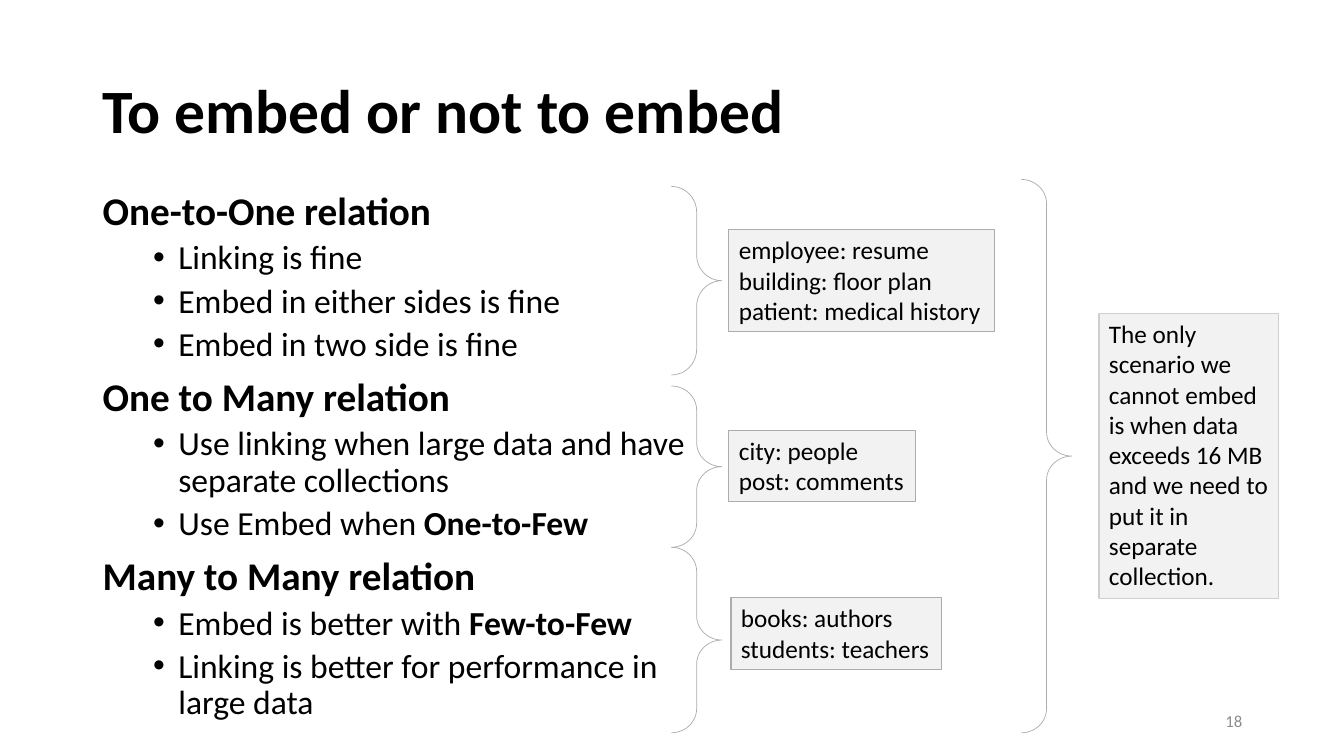
"""Build the slide on when to embed and when to link related data."""
from lxml.etree import SubElement
from pptx import Presentation
from pptx.dml.color import RGBColor
from pptx.enum.shapes import MSO_SHAPE as Preset
from pptx.enum.text import MSO_ANCHOR as Anchor, MSO_AUTO_SIZE as AutoSize, PP_ALIGN as Align
from pptx.oxml.ns import qn
from pptx.util import Inches, Pt

FONT = "Calibri"
COLORS = {"text": "000000", "number": "8C8C8C", "box": "F2F2F2",
          "border": "AFABAB", "pale": "D0CECE"}

TITLE = "To embed or not to embed"
PAGE_NUMBER = "18"
RELATIONS = [
    ("One-to-One relation", [
        [("Linking is fine", False)],
        [("Embed in either sides is fine", False)],
        [("Embed in two side is fine", False)]]),
    ("One to Many relation", [
        [("Use linking when large data and have separate collections", False)],
        [("Use Embed when ", False), ("One-to-Few", True)]]),
    ("Many to Many relation", [
        [("Embed is better with ", False), ("Few-to-Few", True)],
        [("Linking is better for performance in large data", False)]]),
]
EXAMPLES = [
    ((7.23, 2.28, 2.63, 1.01),
     ["employee: resume", "building: floor plan", "patient: medical history"]),
    ((7.23, 4.27, 1.85, 0.71), ["city: people", "post: comments"]),
    ((7.25, 5.93, 2.09, 0.71), ["books: authors", "students: teachers"]),
]
EXCEPTION = ("The only scenario we cannot embed is when data exceeds 16 MB "
             "and we need to put it in separate collection.")
BRACE_WIDTH = 0.5
BRACES = [(6.66, 1.85, 1.87, 0.51), (6.66, 3.83, 1.6, 0.48),
          (6.66, 5.43, 1.84, 0.48), (10.13, 1.78, 5.49, 0.48)]

deck = Presentation()
deck.slide_width, deck.slide_height = Inches(13.33), Inches(7.5)
slide = deck.slides.add_slide(deck.slide_layouts[6])


def rgb(name):
    return RGBColor.from_string(COLORS[name])


def add_frame(place, anchor=Anchor.TOP):
    area = slide.shapes.add_textbox(*map(Inches, place))
    area.text_frame.word_wrap = True
    area.text_frame.vertical_anchor = anchor
    return area


def add_run(paragraph, text, size, bold=False, color="text"):
    run = paragraph.add_run()
    run.text = text
    run.font.name, run.font.size, run.font.bold = FONT, Pt(size), bold
    run.font.color.rgb = rgb(color)


def next_paragraph(frame):
    first = frame.paragraphs[0]
    return frame.add_paragraph() if first.runs else first


def add_relation(frame, heading, points):
    paragraph = next_paragraph(frame)
    paragraph.line_spacing, paragraph.space_before = 0.9, Pt(10)
    add_run(paragraph, heading, 28, True)
    for point in points:
        paragraph = next_paragraph(frame)
        paragraph.level = 1
        paragraph.line_spacing, paragraph.space_before = 0.9, Pt(5)
        properties = paragraph._p.get_or_add_pPr()
        properties.set("marL", str(Inches(0.75)))
        properties.set("indent", str(Inches(-0.25)))
        SubElement(properties, qn("a:buFont")).set("typeface", "Arial")
        SubElement(properties, qn("a:buChar")).set("char", "•")
        for text, bold in point:
            add_run(paragraph, text, 24, bold)


def add_box(place, lines, border, wrap):
    box = add_frame(place)
    box.fill.solid()
    box.fill.fore_color.rgb = rgb("box")
    box.line.color.rgb, box.line.width = rgb(border), Pt(0.75)
    box.text_frame.word_wrap = wrap
    box.text_frame.auto_size = AutoSize.SHAPE_TO_FIT_TEXT
    for line in lines:
        add_run(next_paragraph(box.text_frame), line, 18)


def add_brace(left, top, height, curl):
    brace = slide.shapes.add_shape(
        Preset.RIGHT_BRACE, *map(Inches, (left, top, BRACE_WIDTH, height)))
    brace.adjustments[0] = curl
    brace.shadow.inherit = False
    brace.fill.background()
    brace.line.color.rgb, brace.line.width = rgb("border"), Pt(0.5)


title = add_frame((0.92, 0.4, 11.5, 1.45), Anchor.MIDDLE).text_frame.paragraphs[0]
title.line_spacing = 0.9
add_run(title, TITLE, 44, True)

relations = add_frame((0.92, 1.85, 6.25, 5.65)).text_frame
for heading, points in RELATIONS:
    add_relation(relations, heading, points)

for place, lines in EXAMPLES:
    add_box(place, lines, "border", False)
add_box((10.9, 3.11, 1.78, 2.83), [EXCEPTION], "pale", True)
for brace_place in BRACES:
    add_brace(*brace_place)

number = add_frame((9.42, 6.95, 3, 0.4), Anchor.MIDDLE).text_frame.paragraphs[0]
number.alignment = Align.RIGHT
add_run(number, PAGE_NUMBER, 12, color="number")

deck.save("out.pptx")
